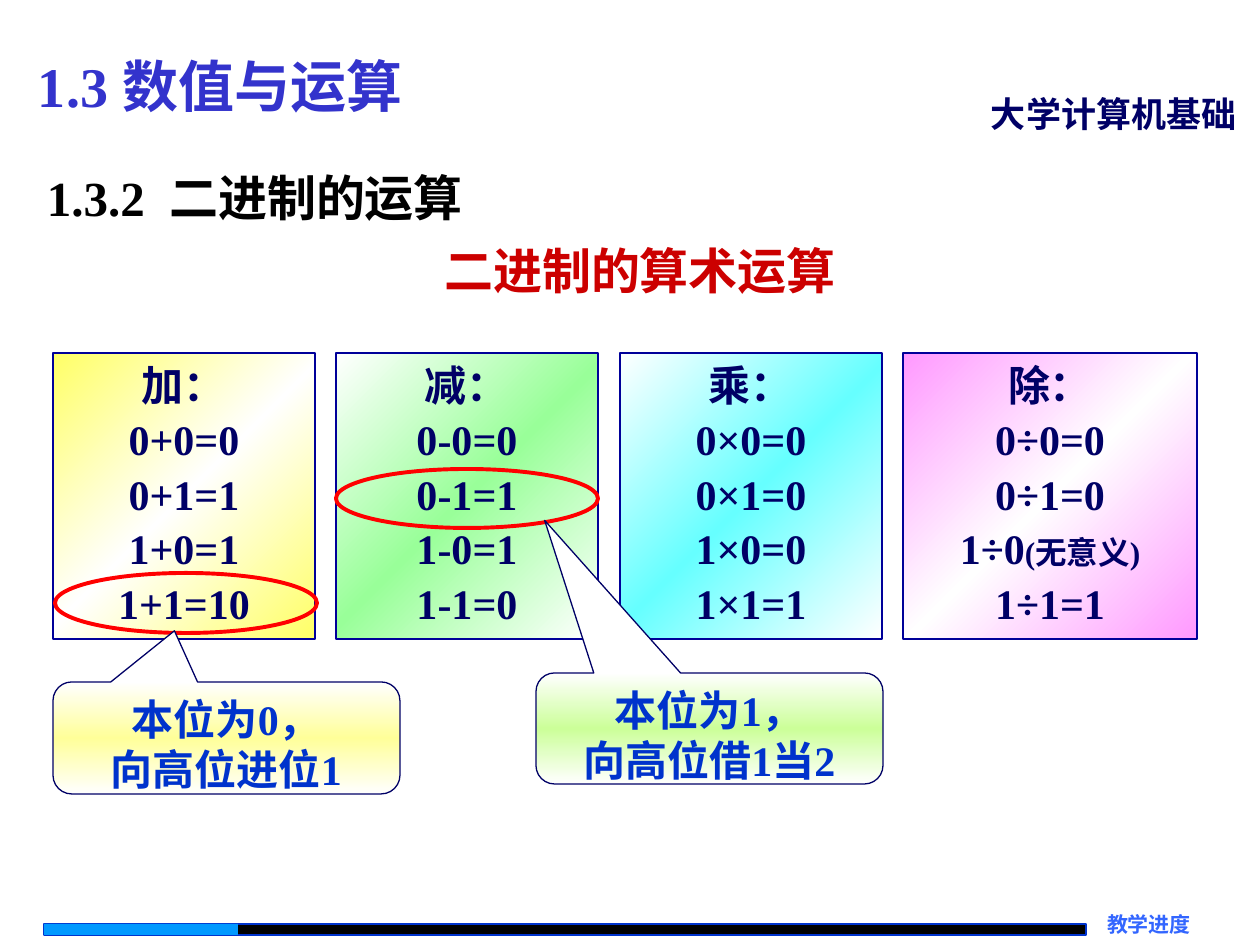
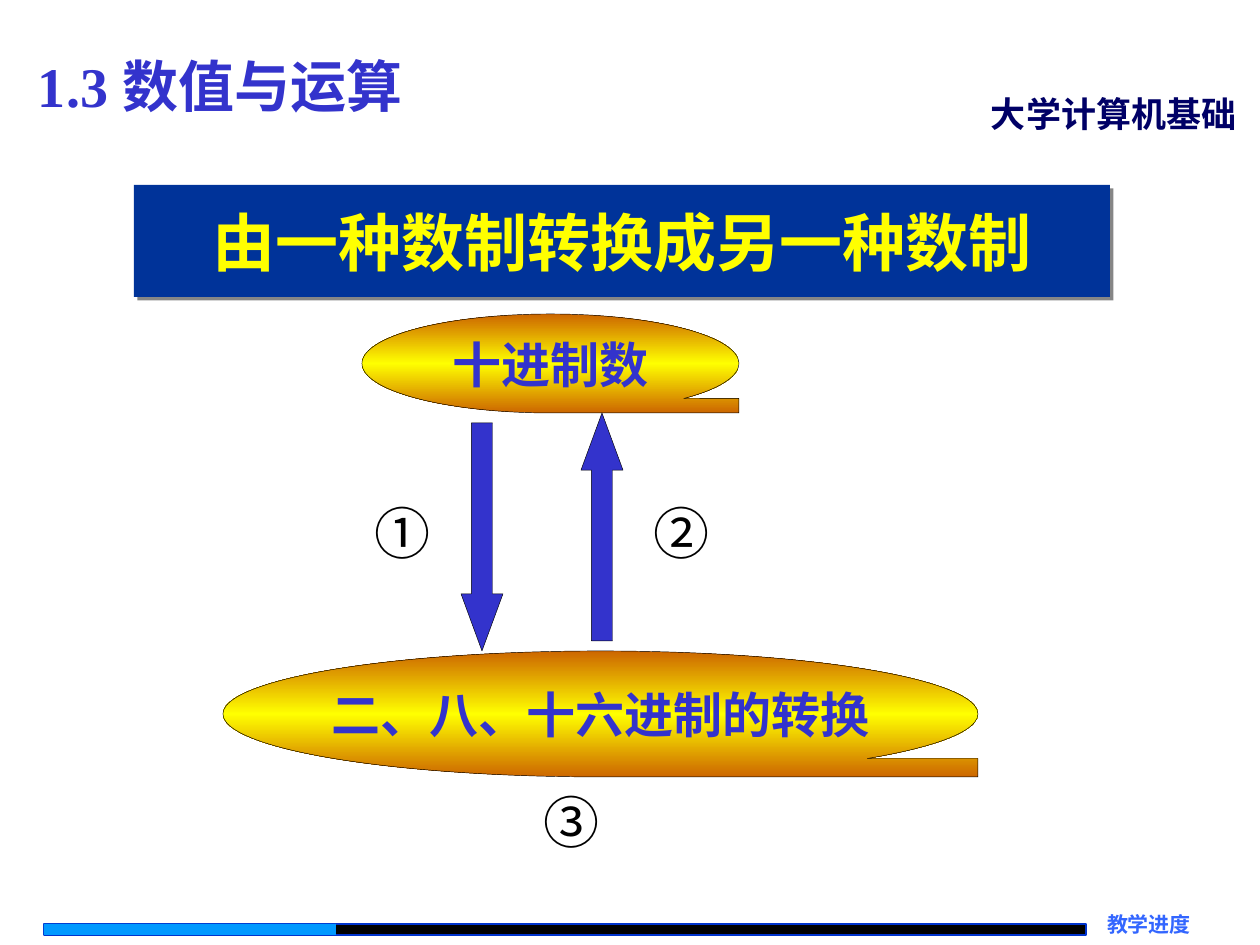
from copy import deepcopy

from lxml import etree
from pptx import Presentation
from pptx.dml.color import RGBColor
from pptx.enum.shapes import MSO_SHAPE
from pptx.enum.text import MSO_ANCHOR, PP_ALIGN
from pptx.oxml.ns import qn
from pptx.util import Pt

SCALE = 914400 / 126
FONT, SANS = "Times New Roman", "Noto Sans CJK SC"
RECT, OVAL = MSO_SHAPE.RECTANGLE, MSO_SHAPE.OVAL
CALL, TAPE = MSO_SHAPE.ROUNDED_RECTANGULAR_CALLOUT, MSO_SHAPE.FLOWCHART_SEQUENTIAL_ACCESS_STORAGE
DOWN, UP = MSO_SHAPE.DOWN_ARROW, MSO_SHAPE.UP_ARROW
LEFT, MID, RIGHT = PP_ALIGN.LEFT, PP_ALIGN.CENTER, PP_ALIGN.RIGHT
TOP, CENTER = MSO_ANCHOR.TOP, MSO_ANCHOR.MIDDLE

BLACK = RGBColor(0, 0, 0)
WHITE = RGBColor(255, 255, 255)
NAVY = RGBColor(0x00, 0x00, 0x66)
EDGE = RGBColor(0x00, 0x00, 0x99)
BLUE = RGBColor(0x00, 0x33, 0xCC)
DEEP = RGBColor(0x00, 0x33, 0x99)
INDIGO = RGBColor(0x33, 0x33, 0xCC)
SKY = RGBColor(0x00, 0x99, 0xFF)
PALE = RGBColor(0x33, 0x66, 0xFF)
CRIMSON = RGBColor(0xCC, 0x00, 0x00)
RED = RGBColor(0xFF, 0x00, 0x00)
YELLOW = RGBColor(0xFF, 0xFF, 0x00)
LEMON = RGBColor(0xFF, 0xFF, 0x66)
CREAM = RGBColor(0xFF, 0xFF, 0x99)
GREEN = RGBColor(0x99, 0xFF, 0x99)
LIME = RGBColor(0xCC, 0xFF, 0x99)
AQUA = RGBColor(0x66, 0xFF, 0xFF)
PINK = RGBColor(0xFF, 0x99, 0xFF)
RUST = RGBColor(0xCC, 0x66, 0x00)

CARDS = [
    (262, LEMON, WHITE, ["加：", "0+0=0", "0+1=1", "1+0=1", "1+1=10"]),
    (262, WHITE, GREEN, ["减：", "0-0=0", "0-1=1", "1-0=1", "1-1=0"]),
    (262, WHITE, AQUA, ["乘：", "0×0=0", "0×1=0", "1×0=0", "1×1=1"]),
    (294, PINK, WHITE, ["除：", "0÷0=0", "0÷1=0",
                        [("1÷0", 24), ("(无意义)", 18)], "1÷1=1"]),
]


def px(*nums):
    return [round(n * SCALE) for n in nums]


def write(shape, lines, size, color, align=LEFT, anchor=TOP, pad=(13, 6),
          font=FONT, bold=True, gap=0, wrap=True):
    """Fill a shape with lines; a line is text or a list of (text, size)."""
    frame = shape.text_frame
    side, edge = px(*pad)
    form = {"word_wrap": wrap, "vertical_anchor": anchor,
            "margin_left": side, "margin_right": side,
            "margin_top": edge, "margin_bottom": edge}
    for key, value in form.items():
        setattr(frame, key, value)
    for i, line in enumerate(lines):
        para = frame.paragraphs[0] if i == 0 else frame.add_paragraph()
        para.alignment = align
        if i:
            para.space_before = Pt(gap)
        if isinstance(line, str):
            para.text = line
            sizes = [size] * len(para.runs)
        else:
            sizes = [points for _, points in line]
            for text, _ in line:
                para.add_run().text = text
        for run, points in zip(para.runs, sizes):
            for key, value in {"size": Pt(points), "bold": bold, "name": font}.items():
                setattr(run.font, key, value)
            run.font.color.rgb = color
            # East Asian face for the Chinese characters
            etree.SubElement(run.font._element, qn("a:ea"), typeface=SANS)


def label(slide, box, text, size, color, **form):
    write(slide.shapes.add_textbox(*px(*box)), [text], size, color, **form)


def draw(slide, kind, box, fill=None, line=None, width=0.75, adj=()):
    shape = slide.shapes.add_shape(kind, *px(*box))
    shape.shadow.inherit = False
    if fill is None:
        shape.fill.background()
    else:
        shape.fill.solid()
        shape.fill.fore_color.rgb = fill
    if line is None:
        shape.line.fill.background()
    else:
        shape.line.color.rgb = line
        shape.line.width = Pt(width)
    for i, value in enumerate(adj):
        shape.adjustments[i] = value
    return shape


def blend(shape, outer, inner, angle):
    """Three-stop gradient, the same colour at both ends."""
    fill = shape.fill
    fill.gradient()
    fill.gradient_angle = 360 - angle
    stops = shape._element.spPr.find(".//" + qn("a:gsLst"))
    stops.append(deepcopy(stops[0]))
    for stop, place, color in zip(fill.gradient_stops, (0, 0.5, 1), (outer, inner, outer)):
        stop.position = place
        stop.color.rgb = color


def base(deck, done):
    """Running title, course name and progress bar."""
    slide = deck.slides.add_slide(deck.slide_layouts[6])
    label(slide, (25, 45, 576, 79), "1.3 数值与运算", 32, INDIGO)
    label(slide, (978, 86, 282, 54), "大学计算机基础", 20, NAVY)
    x, y, high = 44, 924, 11
    draw(slide, RECT, (x, y, 1042, high), BLACK, BLUE)
    draw(slide, RECT, (x, y, done, high), SKY)
    label(slide, (x + 1042, y - 12, 105, 26), "教学进度", 12, PALE,
          align=RIGHT, pad=(0, 0), wrap=False)
    return slide


def cards(slide, x, y):
    """Four rule cards at an even pitch."""
    for i, (wide, outer, inner, lines) in enumerate(CARDS):
        card = draw(slide, RECT, (x + round(i * 850 / 3), y, wide, 286), line=EDGE)
        blend(card, outer, inner, 45)
        write(card, lines, 24, NAVY, align=MID, gap=2.4)


def remark(slide, ring, box, adj, tint, text):
    """Red ring round a rule, with a callout that explains it."""
    draw(slide, OVAL, ring, line=RED, width=2.25)
    call = draw(slide, CALL, box, line=NAVY, adj=adj)
    blend(call, WHITE, tint, 90)
    write(call, [text], 24, BLUE, align=MID, pad=(3, 6))


def rules(deck):
    slide = base(deck, 194)
    label(slide, (34, 155, 892, 84), "1.3.2  二进制的运算", 28, BLACK, anchor=CENTER)
    label(slide, (362, 234, 556, 72), "二进制的算术运算", 28, CRIMSON, align=MID)
    cards(slide, 53, 353)
    remark(slide, (55, 573, 262, 60), (53, 682, 347, 112),
           (-0.15, -0.957, 0.167), CREAM, "本位为0，\v向高位进位1")
    remark(slide, (336, 469, 262, 59), (536, 673, 347, 111),
           (-0.475, -1.875, 0.167), LIME, "本位为1，\v向高位借1当2")


def banner(slide, box, text):
    bar = draw(slide, RECT, box, DEEP)
    shade = etree.SubElement(bar._element.spPr.find(qn("a:effectLst")),
                             qn("a:outerShdw"), dist="35560", dir="2700000",
                             algn="ctr", rotWithShape="0")
    etree.SubElement(shade, qn("a:srgbClr"), val="868686")
    write(bar, [text], 36, YELLOW, align=MID, anchor=CENTER)


def flow(slide, x, y):
    """Two tapes, the arrows between them and the step numbers."""
    tapes = [((x + 139, y, 377, 99), "十进制数"),
             ((x, y + 337, 755, 126), "二、八、十六进制的转换")]
    for box, text in tapes:
        tape = draw(slide, TAPE, box, line=BLACK, width=0.25)
        blend(tape, RUST, YELLOW, 90)
        write(tape, [text], 28, INDIGO, align=MID, anchor=CENTER, wrap=False)
    for kind, left, top in ((DOWN, 238, 109), (UP, 358, 99)):
        draw(slide, kind, (x + left, y + top, 42, 228), INDIGO, BLACK, 0.25, (0.5, 1.36))
    for mark, left, top in (("①", 139, 179), ("②", 417, 179), ("③", 308, 467)):
        label(slide, (x + left, y + top, 79, 79), mark, 32, BLACK,
              align=MID, font=SANS, bold=False)


def change(deck):
    slide = base(deck, 292)
    banner(slide, (134, 185, 976, 112), "由一种数制转换成另一种数制")
    flow(slide, 223, 314)


def main():
    deck = Presentation()
    deck.slide_width, deck.slide_height = px(1260, 945)
    rules(deck)
    change(deck)
    deck.save("out.pptx")


if __name__ == "__main__":
    main()
